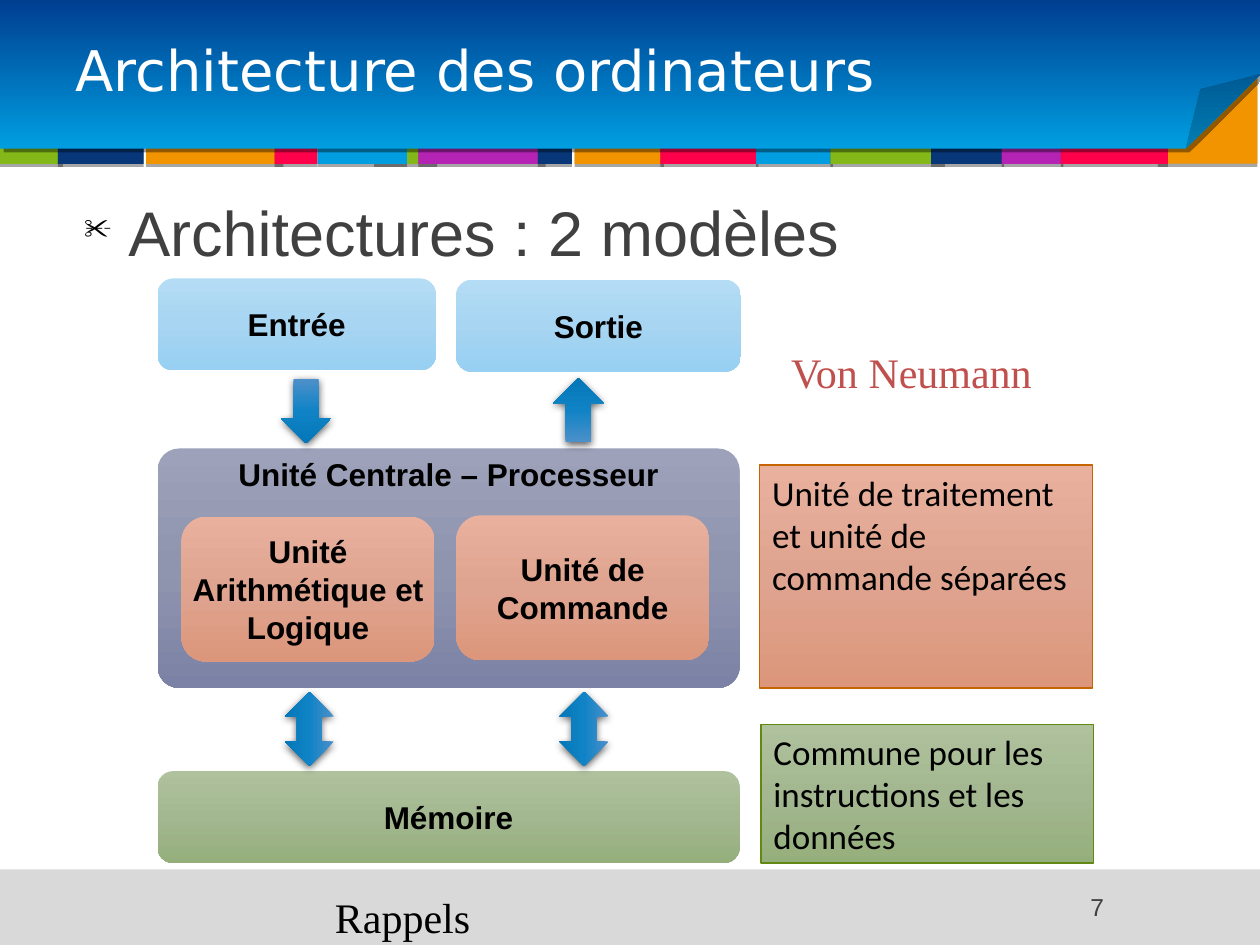
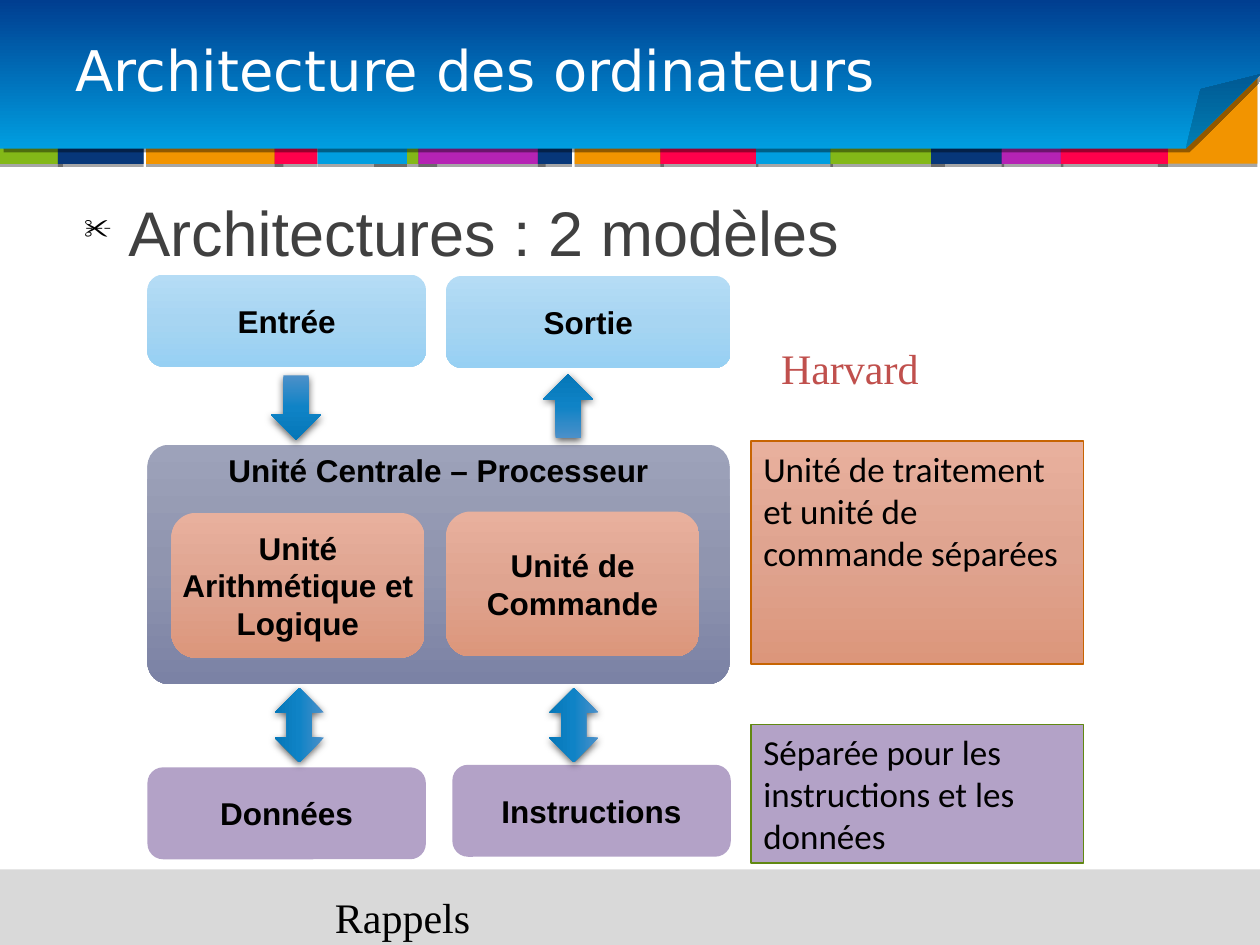
from dataclasses import dataclass

import lxml.etree
import pptx
import pptx.dml.color
import pptx.enum.shapes
import pptx.enum.text
import pptx.oxml.ns
import pptx.util

Inches, Pt = pptx.util.Inches, pptx.util.Pt
RGB = pptx.dml.color.RGBColor.from_string
MSO = pptx.enum.shapes.MSO_SHAPE
ALIGN, ANCHOR = pptx.enum.text.PP_ALIGN, pptx.enum.text.MSO_ANCHOR
qn = pptx.oxml.ns.qn


@dataclass(frozen=True)
class Theme:
    # Solid colours
    green: str = "83B818"
    navy: str = "073779"
    orange: str = "F29400"
    red: str = "FF014B"
    cyan: str = "009EE0"
    magenta: str = "B523B4"
    gray: str = "D9D9D9"
    lilac: str = "B3A2C7"
    rust_line: str = "C76402"
    olive_line: str = "618812"
    # Gradients, evenly spaced stops
    header: tuple = ("009EE0", "003E90")
    sky: tuple = ("B5DCF5", "A7D5F2", "97D0F3")
    slate: tuple = ("9DA2BA", "9095AF", "7B82A5")
    salmon: tuple = ("E8B09D", "DFA490", "DC967B")
    sage: tuple = ("AFC29D", "A3B790", "95AF7C")
    arrow: tuple = ("4C90C9", "0F83C6", "0577B8")
    # Gradient directions, counter-clockwise degrees
    down: int = 270
    up: int = 90
    left: int = 180
    # Shadows: opacity %, blur pt, distance pt, direction
    band_shadow: tuple = (35, 0, 1.8, 90)
    header_shadow: tuple = (40, 0, 3, 45)
    arrow_shadow: tuple = (63, 4.5, 1.5, 90)
    # Text: font, size, colour, bold
    title: tuple = ("DejaVu Sans", 32, "FFFFFF", False)
    heading: tuple = ("Arial", 36, "404040", False)
    block: tuple = ("Arial", 18, "000000", True)
    note: tuple = ("Calibri", 20, "000000", False)
    model: tuple = ("Times New Roman", 24, "C0504D", False)
    footer: tuple = ("Times New Roman", 24, "000000", False)
    number: tuple = ("Arial", 14, "404040", False)


T = Theme()


def draw(s, kind, at, fill, line=None, shadow=None, direction=T.down):
    """Add a preset shape with a solid or gradient fill."""
    sp = s.shapes.add_shape(kind, *map(Inches, at))
    if isinstance(fill, str):
        sp.fill.solid()
        sp.fill.fore_color.rgb = RGB(fill)
    else:
        sp.fill.gradient()
        sp.fill.gradient_angle = direction
        stops = sp._element.spPr.find(".//" + qn("a:gsLst"))
        stops.clear()
        for i, colour in enumerate(fill):
            pos = str(100000 * i // (len(fill) - 1))
            gs = lxml.etree.SubElement(stops, qn("a:gs"), pos=pos)
            lxml.etree.SubElement(gs, qn("a:srgbClr"), val=colour)
    if line:
        sp.line.color.rgb = RGB(line)
        sp.line.width = Pt(0.75)
    else:
        sp.line.fill.background()
    sp.shadow.inherit = False
    if shadow:
        opacity, blur, dist, angle = shadow
        outer = lxml.etree.SubElement(
            sp._element.spPr.find(qn("a:effectLst")), qn("a:outerShdw"),
            blurRad=str(Pt(blur)), dist=str(Pt(dist)), dir=str(angle * 60000),
            algn="ctr", rotWithShape="0")
        clr = lxml.etree.SubElement(outer, qn("a:srgbClr"), val="000000")
        lxml.etree.SubElement(clr, qn("a:alpha"), val=str(opacity * 1000))
    return sp


def write(sp, text, style, align=ALIGN.LEFT, anchor=ANCHOR.TOP, inset=None):
    """Fill a shape with one styled paragraph and return the paragraph."""
    tf = sp.text_frame
    tf.word_wrap = True
    tf.vertical_anchor = anchor
    if inset is not None:
        tf.margin_left = tf.margin_right = tf.margin_top = tf.margin_bottom = inset
    p = tf.paragraphs[0]
    p.text = text
    p.alignment = align
    font, size, colour, bold = style
    p.font.name, p.font.size, p.font.bold = font, Pt(size), bold
    p.font.color.rgb = RGB(colour)
    return p


# Coloured strip under the header: left, width, colour
BANDS = [
    (2.97, 0.5, T.green), (0, 0.5, T.green), (0.46, 0.68, T.navy),
    (1.16, 1.09, T.orange), (2.18, 0.34, T.red), (2.52, 0.71, T.cyan),
    (3.32, 1.01, T.magenta), (4.27, 0.27, T.navy), (4.56, 0.71, T.orange),
    (5.24, 0.78, T.red), (6, 0.61, T.cyan), (6.59, 0.91, T.green),
    (7.39, 0.58, T.navy), (7.95, 0.49, T.magenta), (8.42, 0.85, T.red),
]

# Parts of the machine common to both models: place, fill, text
BLOCKS = [
    ((1.25, 3.56, 4.62, 1.9), T.slate, "Unité Centrale – Processeur"),
    ((1.44, 4.1, 2.01, 1.15), T.salmon, "Unité Arithmétique et Logique"),
    ((3.62, 4.09, 2.01, 1.15), T.salmon, "Unité de Commande"),
    ((1.25, 2.21, 2.21, 0.73), T.sky, "Entrée"),
    ((3.62, 2.22, 2.26, 0.73), T.sky, "Sortie"),
]
ARROWS = [
    (MSO.DOWN_ARROW, (2.23, 3.01, 0.4, 0.51), T.down),
    (MSO.UP_ARROW, (4.39, 3, 0.4, 0.51), T.up),
    (MSO.UP_DOWN_ARROW, (2.26, 5.49, 0.39, 0.59), T.left),
    (MSO.UP_DOWN_ARROW, (4.44, 5.49, 0.39, 0.59), T.left),
]

# What differs between the models; the diagram moves by "shift"
MODELS = [
    {"name": "Von Neumann", "shift": (0, 0), "number": "7",
     "memory": [((1.25, 6.12, 4.62, 0.73), T.sage, "Mémoire")],
     "unit_note": (6.03, 3.69), "memory_note": (6.04, 5.75),
     "memory_fill": T.sage,
     "memory_text": "Commune pour les instructions et les données"},
    {"name": "Harvard", "shift": (-0.08, -0.03), "number": None,
     "memory": [((1.25, 6.12, 2.21, 0.73), T.lilac, "Données"),
                ((3.67, 6.1, 2.21, 0.73), T.lilac, "Instructions")],
     "unit_note": (5.96, 3.5), "memory_note": (5.96, 5.75),
     "memory_fill": T.lilac,
     "memory_text": "Séparée pour les instructions et les données"},
]

prs = pptx.Presentation()
prs.slide_width, prs.slide_height = Inches(10), Inches(7.5)
layout = prs.slide_layouts[5]
slides = [prs.slides.add_slide(layout) for _ in MODELS]

# Shared decoration, drawn once and moved to the layout
s = slides[0]
decor = [draw(s, MSO.RECTANGLE, (9.19, 0.47, 0.79, 0.83), T.orange,
              shadow=T.band_shadow)]
for left, width, colour in BANDS:
    decor.append(draw(s, MSO.RECTANGLE, (left, 0.82, width, 0.48), colour,
                      shadow=T.band_shadow))
header = draw(s, MSO.FOLDED_CORNER, (0, 0, 10, 1.18), T.header,
              shadow=T.header_shadow, direction=T.up)
fold = header._element.spPr.find(".//" + qn("a:avLst"))
fold.clear()
lxml.etree.SubElement(fold, qn("a:gd"), name="adj", fmla="val 50000")
decor.append(header)
decor.append(draw(s, MSO.RECTANGLE, (0, 6.9, 10, 0.6), T.gray,
                  shadow=T.band_shadow))
for i, sp in enumerate(decor):
    sp._element.nvSpPr.cNvPr.set("id", str(100 + i))
    layout.shapes._spTree.insert(2 + i, sp._element)

for s, model in zip(slides, MODELS):
    # Title
    title = s.shapes.title
    title.left, title.top, title.width, title.height = map(
        Inches, (0.5, 0.07, 9, 1.03))
    p = write(title, "Architecture des ordinateurs", T.title,
              anchor=ANCHOR.MIDDLE)
    p.line_spacing = 0.9

    # Bulleted heading
    sp = s.shapes.add_textbox(*map(Inches, (0.45, 1.49, 9, 5.27)))
    p = write(sp, "Architectures : 2 modèles", T.heading)
    p.space_before = Pt(14.2)
    pPr = p._p.get_or_add_pPr()
    pPr.set("marL", str(Inches(0.47)))
    pPr.set("indent", str(Inches(-0.35)))
    clr = lxml.etree.Element(qn("a:buClr"))
    lxml.etree.SubElement(clr, qn("a:srgbClr"), val="000000")
    for el in (clr, lxml.etree.Element(qn("a:buSzPct"), val="45000"),
               lxml.etree.Element(qn("a:buChar"), char="✂")):
        pPr.find(qn("a:defRPr")).addprevious(el)

    # Footer and slide number
    sp = s.shapes.add_textbox(*map(Inches, (2.56, 7.03, 4.88, 0.37)))
    write(sp, "Rappels", T.footer)
    if model["number"]:
        sp = s.shapes.add_textbox(*map(Inches, (7.68, 7.03, 1.18, 0.37)))
        write(sp, model["number"], T.number, ALIGN.RIGHT)

    # Diagram blocks
    dx, dy = model["shift"]
    for (x, y, w, h), fill, text in BLOCKS + model["memory"]:
        sp = draw(s, MSO.ROUNDED_RECTANGLE, (x + dx, y + dy, w, h), fill)
        is_processor = fill == T.slate
        sp.adjustments[0] = 0.09 if is_processor else 0.17
        write(sp, text, T.block, ALIGN.CENTER,
              ANCHOR.TOP if is_processor else ANCHOR.MIDDLE, inset=0)

    # Data flow arrows
    for kind, (x, y, w, h), direction in ARROWS:
        draw(s, kind, (x + dx, y + dy, w, h), T.arrow,
             shadow=T.arrow_shadow, direction=direction)

    # Side notes
    for place, height, fill, line, text in (
        (model["unit_note"], 1.77, T.salmon, T.rust_line,
         "Unité de traitement et unité de commande séparées"),
        (model["memory_note"], 1.1, model["memory_fill"], T.olive_line,
         model["memory_text"]),
    ):
        sp = draw(s, MSO.RECTANGLE, (*place, 2.64, height), fill, line)
        write(sp, text, T.note).space_before = Pt(10)

    # Model name
    sp = s.shapes.add_textbox(*map(Inches, (6.18 + dx, 2.7 + dy, 2.51, 0.5)))
    write(sp, model["name"], T.model, anchor=ANCHOR.MIDDLE)

prs.save("out.pptx")
